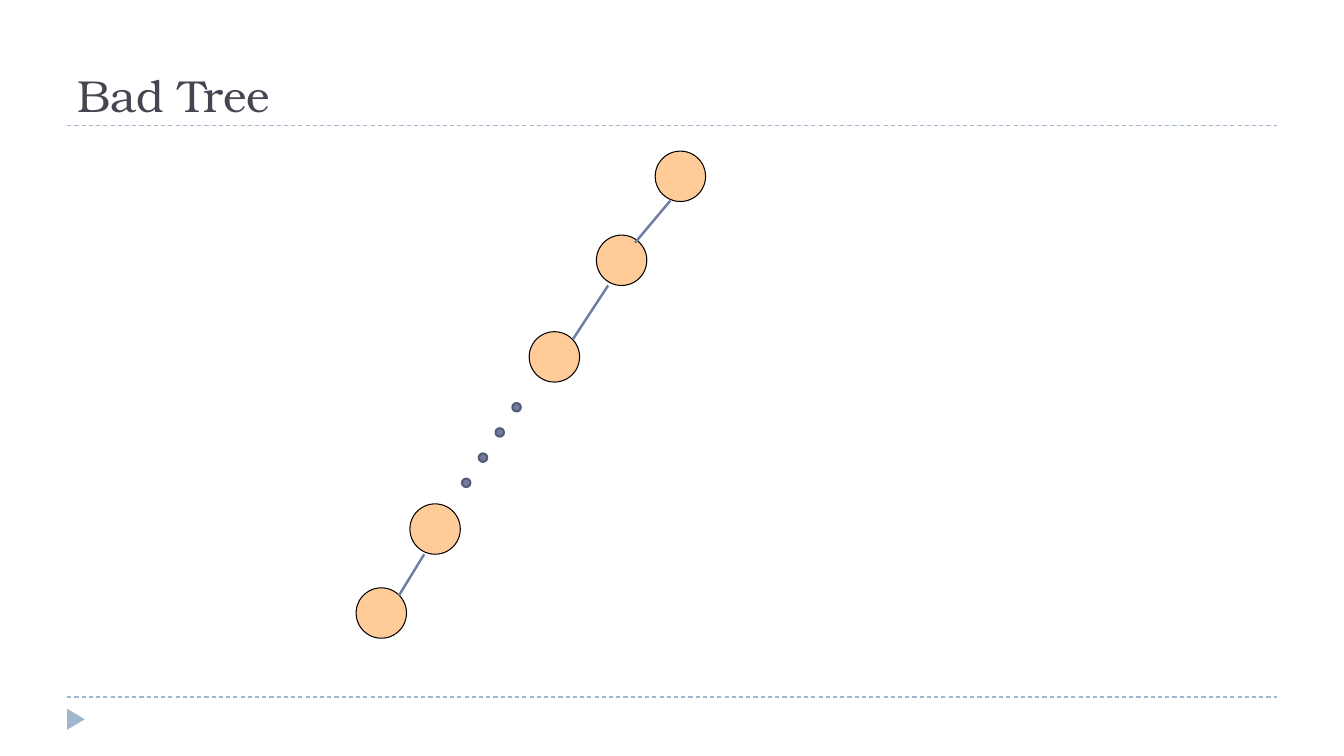
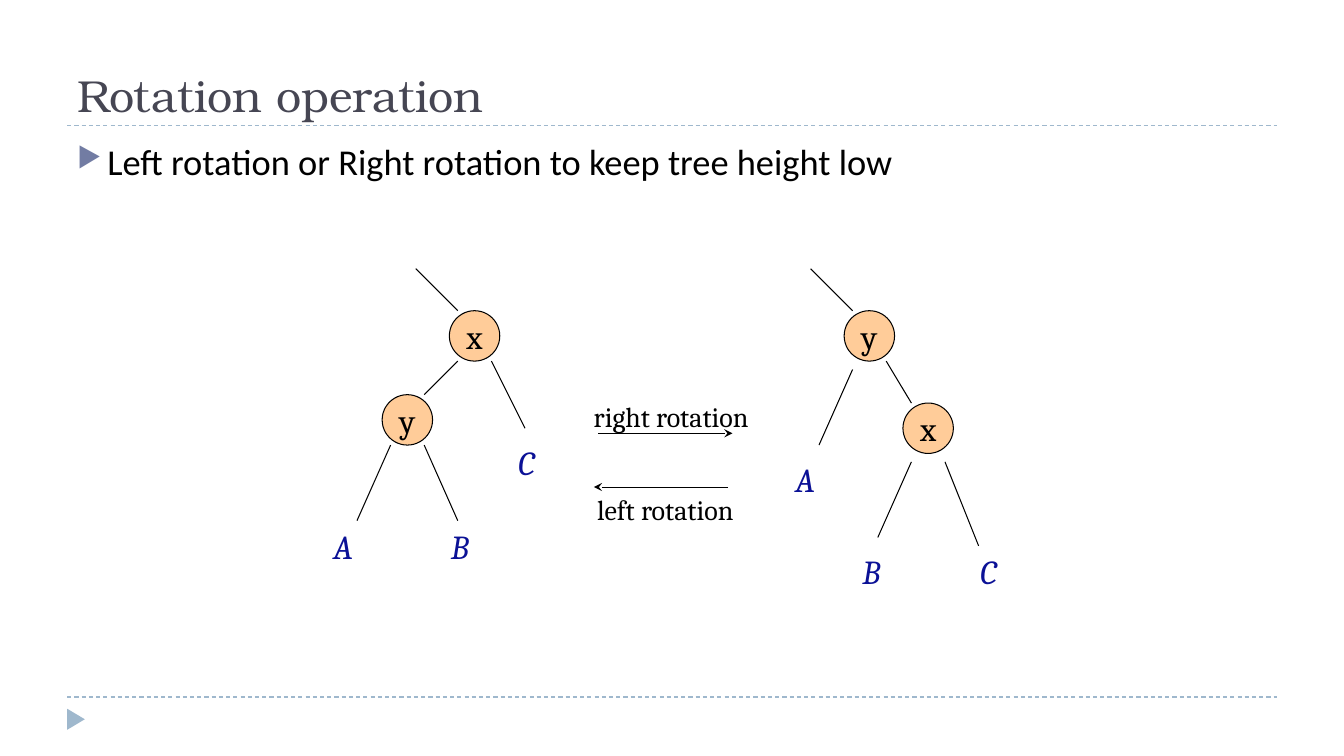
from lxml import etree
from pptx import Presentation
from pptx import util as u
from pptx.dml.color import RGBColor
from pptx.enum import dml, shapes, text
from pptx.oxml import ns

COLORS = {
    "rule": "9FB8CD",
    "title": "464653",
    "node": "FFCC99",
    "ink": "000000",
    "accent": "727CA3",
    "dot_edge": "545C79",
    "subtree": "0B1196",
}
STYLES = {
    "title": {"name": "TeX Gyre Bonum", "size": u.Pt(32), "color": "title"},
    "body": {"name": "Calibri", "size": u.Pt(26), "color": "ink"},
    "node": {"name": "Cambria", "size": u.Pt(24), "color": "ink"},
    "subtree": {"name": "Cambria", "size": u.Pt(24), "italic": True, "color": "subtree"},
    "rotation": {"name": "Cambria", "size": u.Pt(20), "color": "ink"},
}
FRAMES = {
    "title": {"vertical_anchor": text.MSO_ANCHOR.BOTTOM, "word_wrap": True},
    "node": {"vertical_anchor": text.MSO_ANCHOR.MIDDLE, "word_wrap": False},
}
CENTERED = ("node", "rotation")
COLUMNS = 160
NODE = 6
OVAL = shapes.MSO_SHAPE.OVAL

deck = Presentation()
deck.slide_width = u.Inches(13.33)
deck.slide_height = u.Inches(7.5)
cell = deck.slide_width / COLUMNS


def place(page, geometry, cells, fill=None, edge=None, weight=0.75, label="", style="body"):
    lengths = [u.Emu(round(cell * count)) for count in cells]
    if geometry is None:
        box = page.shapes.add_textbox(*lengths)
    else:
        box = page.shapes.add_shape(geometry, *lengths)
        box.shadow.inherit = False
        box.fill.solid()
        box.fill.fore_color.rgb = RGBColor.from_string(COLORS[fill])
        if edge:
            box.line.color.rgb = RGBColor.from_string(COLORS[edge])
            box.line.width = u.Pt(weight)
        else:
            box.line.fill.background()
    if label:
        for key, value in FRAMES.get(style, {"word_wrap": True}).items():
            setattr(box.text_frame, key, value)
        para = box.text_frame.paragraphs[0]
        para.alignment = text.PP_ALIGN.CENTER if style in CENTERED else text.PP_ALIGN.LEFT
        span = para.add_run()
        span.text = label
        for key, value in STYLES[style].items():
            if key == "color":
                span.font.color.rgb = RGBColor.from_string(COLORS[value])
            else:
                setattr(span.font, key, value)
    return box


def connect(page, ends, color="ink", weight=0.75, dash=None, arrow=False):
    lengths = [u.Emu(round(cell * count)) for count in ends]
    line = page.shapes.add_connector(shapes.MSO_CONNECTOR.STRAIGHT, *lengths)
    line.line.color.rgb = RGBColor.from_string(COLORS[color])
    line.line.width = u.Pt(weight)
    line.line.dash_style = dash
    properties = line.element.spPr
    if arrow:
        outline = properties.find(ns.qn("a:ln"))
        etree.SubElement(outline, ns.qn("a:tailEnd"), type="stealth")
    etree.SubElement(properties, ns.qn("a:effectLst"))


pages = []
for title in ("Bad Tree", "Rotation operation"):
    page = deck.slides.add_slide(deck.slide_layouts[6])
    for row in (83, 15):
        connect(page, (8, row, 152, row), "rule", dash=dml.MSO_LINE.DASH)
    marker = place(page, shapes.MSO_SHAPE.ISOSCELES_TRIANGLE, (7.8, 84.6, 2.5, 2.1), "rule")
    marker.rotation = 90
    place(page, None, (8, 2, 144, 13), label=title, style="title")
    pages.append(page)
chain_page, rotation_page = pages

for column, row in ((78, 18), (71, 28), (63, 39.5), (48.8, 60), (42.4, 70)):
    place(chain_page, OVAL, (column, row, NODE, NODE), "node", "ink")
for ends in ((79.8, 23.9, 75.6, 28.9), (72.4, 34, 68.2, 40.4), (50.5, 66, 47.5, 70.9)):
    connect(chain_page, ends, "accent", 1.75)
for step in range(4):
    place(chain_page, OVAL, (61 - 2 * step, 48 + 3 * step, 1, 1), "accent", "dot_edge", 1.5)

body = place(
    rotation_page, None, (8, 16, 144, 64.8),
    label="Left rotation or Right rotation to keep tree height low",
)
para = body.text_frame.paragraphs[0]
para.space_before = u.Pt(6)
bullet = para._p.get_or_add_pPr()
bullet.set("marL", str(u.Inches(0.3)))
bullet.set("indent", str(-u.Inches(0.3)))
tint = etree.SubElement(bullet, ns.qn("a:buClr"))
etree.SubElement(tint, ns.qn("a:srgbClr"), val=COLORS["accent"])
etree.SubElement(bullet, ns.qn("a:buSzPct"), val="76000")
etree.SubElement(bullet, ns.qn("a:buChar"), char="▶")

TREES = [
    {
        "nodes": {"x": (53.5, 37), "y": (45.5, 47)},
        "edges": [
            (49.5, 32, 54.5, 37), (54.5, 43, 50.5, 47), (46.5, 53, 42.5, 62),
            (50.5, 53, 54.5, 62), (58.5, 43, 62.5, 51),
        ],
        "subtrees": {"A": (38.5, 62), "B": (52.5, 62), "C": (60.5, 52)},
    },
    {
        "nodes": {"y": (100.5, 37), "x": (107.5, 48)},
        "edges": [
            (96.5, 32, 101.5, 37), (105.5, 43, 108.5, 48), (101.5, 44, 97.5, 53),
            (108.5, 55, 104.5, 64), (112.5, 55, 116.5, 65),
        ],
        "subtrees": {"A": (93.5, 54), "B": (101.5, 65), "C": (115.5, 65)},
    },
]
for tree in TREES:
    for label, spot in tree["nodes"].items():
        place(rotation_page, OVAL, (*spot, NODE, NODE), "node", "ink", label=label, style="node")
    for ends in tree["edges"]:
        connect(rotation_page, ends)
    for label, spot in tree["subtrees"].items():
        place(rotation_page, None, (*spot, NODE, NODE), label=label, style="subtree")

for label, spot, ends in (
    ("right rotation", (68.4, 47), (71.2, 51.6, 87.2, 51.6)),
    ("left rotation", (67.7, 58), (86.7, 58, 70.7, 58)),
):
    connect(rotation_page, ends, arrow=True)
    place(rotation_page, None, (*spot, 23, 5.3), label=label, style="rotation")

deck.save("out.pptx")
